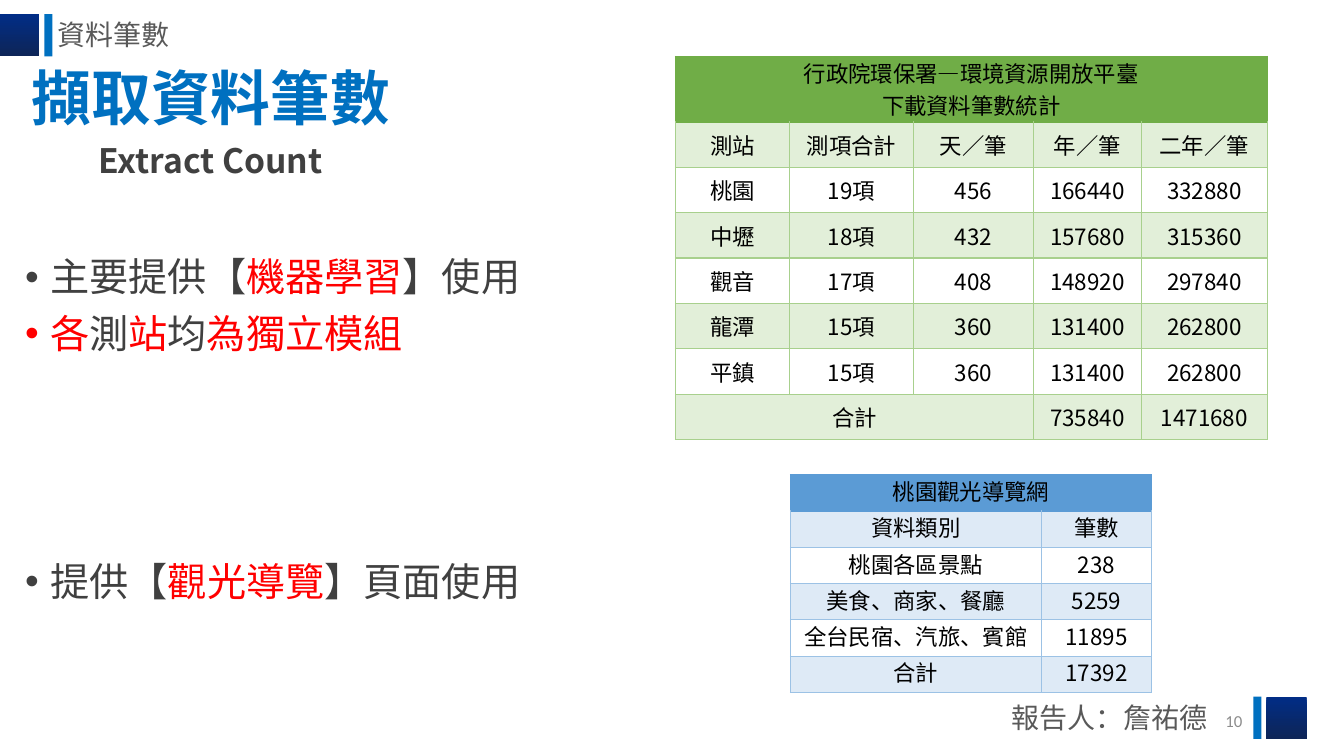
from dataclasses import dataclass

from lxml import etree
from pptx import Presentation
from pptx.dml.color import RGBColor
from pptx.enum import shapes, text
from pptx.oxml import parse_xml
from pptx.oxml.ns import nsdecls, qn
from pptx.util import Inches, Pt

Align, Anchor = text.PP_ALIGN, text.MSO_ANCHOR


@dataclass(frozen=True)
class Theme:
    font: str = "Noto Sans CJK SC"
    latin: str = "Calibri"
    blue: str = "0070C0"
    navy: tuple = ("012D86", "0E2557")
    ink: str = "404040"
    grey: str = "595959"
    pale: str = "8C8C8C"
    red: str = "FF0000"
    black: str = "000000"
    white: str = "FFFFFF"
    title: float = 42.6
    sub: float = 24
    body: float = 28
    label: float = 20
    cell: float = 16
    page: float = 12


@dataclass(frozen=True)
class Mark:
    """A corner label with its square block and thin bar."""
    block: float
    bar: float
    top: float
    label: str
    left: float
    width: float


@dataclass(frozen=True)
class Grid:
    left: float
    top: float
    cols: tuple
    head: float
    row: float
    anchor: Anchor
    fill: str
    tint: str
    line: str
    title: str
    rows: tuple


@dataclass(frozen=True)
class Points:
    """A bullet list; each line holds (words, is_red) pairs."""
    top: float
    height: float
    lines: tuple


T = Theme()
MARKS = (
    Mark(-0.01, 0.44, 0.14, "資料筆數", 0.47, 3.68),
    Mark(12.56, 12.43, 6.91, "報告人：詹祐德", 9.93, 2.45),
)
LISTS = (
    Points(2.51, 1.26, (
        (("主要提供【", False), ("機器學習", True), ("】使用", False)),
        (("各", True), ("測", False), ("站", True), ("均", False),
         ("為獨立模組", True)),
    )),
    Points(5.53, 0.66, (
        (("提供【", False), ("觀光導覽", True), ("】頁面使用", False)),
    )),
)
GRIDS = (
    Grid(6.7, 0.56, (1.13, 1.23, 1.19, 1.07, 1.25), 0.65, 0.45, Anchor.MIDDLE,
         "70AD47", "E2EFD9", "A8D08D",
         "行政院環保署—環境資源開放平臺\n下載資料筆數統計", (
             ("測站", "測項合計", "天／筆", "年／筆", "二年／筆"),
             ("桃園", "19項", "456", "166440", "332880"),
             ("中壢", "18項", "432", "157680", "315360"),
             ("觀音", "17項", "408", "148920", "297840"),
             ("龍潭", "15項", "360", "131400", "262800"),
             ("平鎮", "15項", "360", "131400", "262800"),
             ("合計", "", "", "735840", "1471680"))),
    Grid(7.84, 4.71, (2.49, 1.09), 0.36, 0.36, Anchor.TOP,
         "5B9BD5", "DEEAF6", "9CC2E5", "桃園觀光導覽網", (
             ("資料類別", "筆數"),
             ("桃園各區景點", "238"),
             ("美食、商家、餐廳", "5259"),
             ("全台民宿、汽旅、賓館", "11895"),
             ("合計", "17392"))),
)


def rgb(code: str) -> RGBColor:
    return RGBColor.from_string(code)


def style(para, size: float, color: str, align=Align.LEFT, bold=False,
          name: str = T.font) -> None:
    para.alignment = align
    font = para.font
    font.size, font.bold, font.name = Pt(size), bold, name
    font.color.rgb = rgb(color)
    props = para._p.pPr.find(qn("a:defRPr"))
    etree.SubElement(props, qn("a:ea")).set("typeface", name)


def place(shape, left: float, top: float, width: float, height: float) -> None:
    shape.left, shape.top = Inches(left), Inches(top)
    shape.width, shape.height = Inches(width), Inches(height)


def add_box(slide, left: float, top: float, width: float, height: float):
    """Adds a wrapped, middle-anchored text box and returns its frame."""
    frame = slide.shapes.add_textbox(
        Inches(left), Inches(top), Inches(width), Inches(height)).text_frame
    frame.word_wrap = True
    frame.vertical_anchor = Anchor.MIDDLE
    return frame


def add_rect(slide, left: float, top: float, width: float):
    rect = slide.shapes.add_shape(
        shapes.MSO_SHAPE.RECTANGLE, Inches(left), Inches(top),
        Inches(width), Inches(0.42))
    rect.shadow.inherit = False
    rect.line.fill.background()
    return rect


def add_mark(slide, mark: Mark) -> None:
    fill = add_rect(slide, mark.block, mark.top, 0.4).fill
    fill.gradient()
    fill.gradient_angle = 270
    for stop, code in zip(fill.gradient_stops, T.navy):
        stop.color.rgb = rgb(code)
    bar = add_rect(slide, mark.bar, mark.top, 0.08)
    bar.fill.solid()
    bar.fill.fore_color.rgb = rgb(T.blue)
    frame = add_box(slide, mark.left, mark.top - 0.1, mark.width, 0.61)
    frame.text = mark.label
    style(frame.paragraphs[0], T.label, T.grey)


def fill_title(shape) -> None:
    place(shape, 0.19, 0.64, 3.8, 1.11)
    frame = shape.text_frame
    frame.auto_size = text.MSO_AUTO_SIZE.NONE
    frame.vertical_anchor = Anchor.MIDDLE
    frame.text = "擷取資料筆數\nExtract Count"
    head, sub = frame.paragraphs
    style(head, T.title, T.blue, Align.CENTER, True)
    style(sub, T.sub, T.ink, Align.CENTER, True)
    sub.space_before = Pt(5)


def fill_list(shape, points: Points) -> None:
    place(shape, 0.15, points.top, 6.26, points.height)
    frame = shape.text_frame
    frame.auto_size = text.MSO_AUTO_SIZE.NONE
    for i, line in enumerate(points.lines):
        para = frame.add_paragraph() if i else frame.paragraphs[0]
        para.line_spacing = 0.9
        para.space_before = Pt(10 if i else 0)
        props = para._p.get_or_add_pPr()
        props.set("marL", str(Inches(0.25)))
        props.set("indent", str(Inches(-0.25)))
        etree.SubElement(props, qn("a:buChar")).set("char", "•")
        style(para, T.body, T.ink, Align.JUSTIFY)
        for words, hot in line:
            run = para.add_run()
            run.text = words
            run.font.color.rgb = rgb(T.red if hot else T.ink)


def edge(cell, codes: dict) -> None:
    """Draws 1 pt borders, keyed by side in L, R, T, B order."""
    props = cell._tc.get_or_add_tcPr()
    for i, (side, code) in enumerate(codes.items()):
        props.insert(i, parse_xml(
            f'<a:ln{side} {nsdecls("a")} w="12700"><a:solidFill>'
            f'<a:srgbClr val="{code}"/></a:solidFill></a:ln{side}>'))


def add_grid(slide, grid: Grid) -> None:
    count = len(grid.cols)
    rows = ((grid.title,) + ("",) * (count - 1),) + grid.rows
    height = grid.head + grid.row * len(grid.rows)
    table = slide.shapes.add_table(
        len(rows), count, Inches(grid.left), Inches(grid.top),
        Inches(sum(grid.cols)), Inches(height)).table
    table.first_row = table.horz_banding = False
    for col, width in zip(table.columns, grid.cols):
        col.width = Inches(width)
    for r, row in enumerate(rows):
        table.rows[r].height = Inches(grid.row if r else grid.head)
        line = grid.line if r else grid.fill
        back = (T.white, grid.tint)[r % 2] if r else grid.fill
        for c, words in enumerate(row):
            cell = table.cell(r, c)
            cell.text = words
            cell.margin_left = cell.margin_right = Inches(0.07)
            cell.margin_top = cell.margin_bottom = 0
            cell.vertical_anchor = grid.anchor if r else Anchor.TOP
            cell.fill.solid()
            cell.fill.fore_color.rgb = rgb(back)
            edge(cell, {"L": line, "R": line,
                        "T": grid.fill if r < 2 else line, "B": line if r else grid.fill})
            for para in cell.text_frame.paragraphs:
                style(para, T.cell, T.black, Align.CENTER)
        span = 1 + sum(not words for words in row)
        if span > 1:
            table.cell(r, 0).merge(table.cell(r, span - 1))


def add_page(slide, number: int) -> None:
    para = add_box(slide, 9.42, 6.95, 3, 0.4).paragraphs[0]
    style(para, T.page, T.pale, Align.RIGHT, name=T.latin)
    para._p.append(parse_xml(
        f'<a:fld {nsdecls("a")} id="{{B6F15528-21DE-4FAA-801E-634DDDAF4B2B}}" '
        f'type="slidenum"><a:rPr lang="en-US"/><a:t>{number}</a:t></a:fld>'))


def main() -> None:
    deck = Presentation()
    deck.slide_width, deck.slide_height = Inches(13.33), Inches(7.5)
    deck.element.set("firstSlideNum", "10")
    slide = deck.slides.add_slide(deck.slide_layouts[3])
    title, *bodies = slide.placeholders
    fill_title(title)
    for body, points in zip(bodies, LISTS):
        fill_list(body, points)
    for mark in MARKS:
        add_mark(slide, mark)
    for grid in GRIDS:
        add_grid(slide, grid)
    add_page(slide, 10)
    deck.save("out.pptx")


if __name__ == "__main__":
    main()
